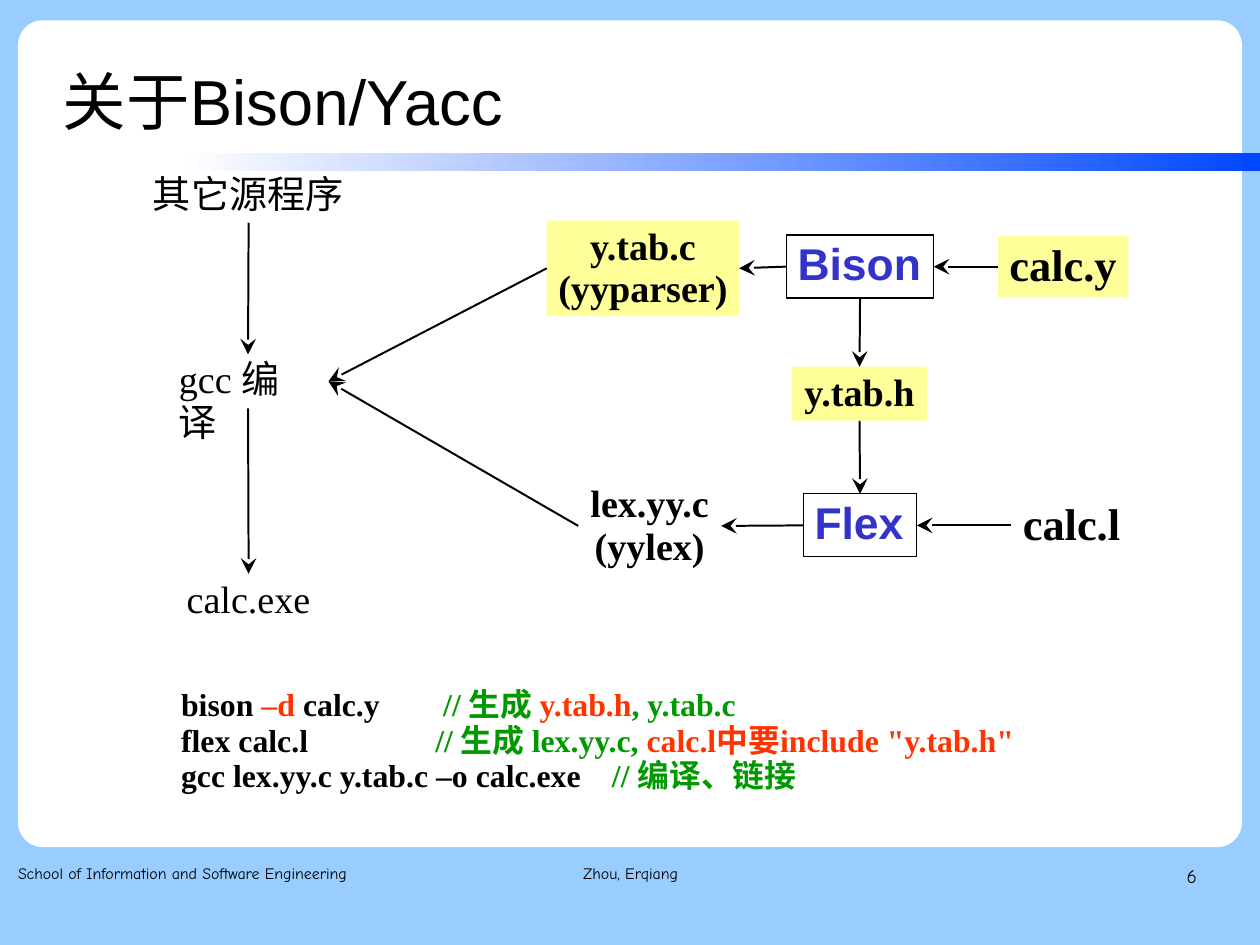
"""Build the slide on how Bison and Flex sources become a program."""
from dataclasses import dataclass

from lxml.etree import SubElement
from pptx import Presentation
from pptx.dml.color import RGBColor
from pptx.enum.shapes import MSO_CONNECTOR, MSO_SHAPE
from pptx.enum.text import MSO_ANCHOR, MSO_AUTO_SIZE, PP_ALIGN
from pptx.oxml.ns import qn
from pptx.shapes.autoshape import Shape
from pptx.slide import Slide
from pptx.util import Emu, Pt

EMU_PER_PX = 9000
TOP, LEFT, BOTTOM, RIGHT = range(4)


@dataclass(frozen=True)
class Theme:
    """Colours, fonts and point sizes of the slide."""
    background: str = "99CCFF"
    panel: str = "FFFFFF"
    band_end: str = "0047FF"
    ink: str = "000000"
    tool: str = "3333CC"
    generated: str = "FFFF99"
    alert: str = "FF3300"
    comment: str = "009900"
    sans: str = "Arial"
    serif: str = "Times New Roman"
    hand: str = "Comic Neue"
    title_size: int = 40
    large_size: int = 28
    node_size: int = 24
    command_size: int = 20
    number_size: int = 12
    footer_size: int = 10
    outline: float = 0.75
    arrow: float = 1.25


THEME = Theme()


@dataclass(frozen=True)
class Box:
    """A rectangle in px."""
    left: int
    top: int
    width: int
    height: int

    def emu(self) -> tuple[Emu, ...]:
        """Return the rectangle in EMU."""
        return tuple(px(value) for value in (self.left, self.top, self.width, self.height))


@dataclass(frozen=True)
class Style:
    """How the text of one box looks."""
    size: int
    font: str = THEME.serif
    bold: bool = False
    color: str = THEME.ink
    align: PP_ALIGN = PP_ALIGN.LEFT
    spacing: float = 0.93
    inset: tuple[int, int] = (10, 5)
    wrap: bool = False
    anchor: MSO_ANCHOR = MSO_ANCHOR.TOP


@dataclass(frozen=True)
class Line:
    """A paragraph made of (text, colour) runs, with an optional tab stop in px."""
    runs: tuple[tuple[str, str], ...]
    tab: int = 0


@dataclass(frozen=True)
class Node:
    """A file or tool in the build diagram."""
    box: Box
    text: tuple[str, ...]
    style: Style
    fill: str = ""
    outlined: bool = False


@dataclass(frozen=True)
class Arrow:
    """An arrow between the sides of two nodes."""
    start: str
    start_side: int
    end: str
    end_side: int


PLAIN = Style(THEME.node_size)
WRAPPED = Style(THEME.node_size, wrap=True)
FILE = Style(THEME.node_size, bold=True, align=PP_ALIGN.CENTER)
INPUT = Style(THEME.large_size, bold=True, align=PP_ALIGN.CENTER)
TOOL = Style(THEME.large_size, THEME.sans, True, THEME.tool)
TITLE = Style(THEME.title_size, THEME.sans, spacing=1.1, inset=(0, 0), wrap=True,
              anchor=MSO_ANCHOR.MIDDLE)
COMMAND = Style(THEME.command_size, bold=True, wrap=True)

NODES = {
    "parser": Node(Box(486, 196, 171, 85), ("y.tab.c", "(yyparser)"), FILE, THEME.generated),
    "lexer": Node(Box(514, 425, 127, 85), ("lex.yy.c", "(yylex)"), FILE),
    "sources": Node(Box(126, 150, 190, 48), ("其它源程序",), PLAIN),
    "compiler": Node(Box(149, 315, 143, 48), ("gcc 编译",), WRAPPED),
    "bison": Node(Box(699, 209, 131, 56), ("Bison",), TOOL, outlined=True),
    "flex": Node(Box(714, 439, 101, 56), ("Flex",), TOOL, outlined=True),
    "grammar": Node(Box(887, 210, 116, 54), ("calc.y",), INPUT, THEME.generated),
    "rules": Node(Box(899, 440, 107, 54), ("calc.l",), INPUT),
    "header": Node(Box(704, 326, 120, 48), ("y.tab.h",), FILE, THEME.generated),
    "program": Node(Box(156, 510, 130, 48), ("calc.exe",), PLAIN),
}
ARROWS = (
    Arrow("grammar", LEFT, "bison", RIGHT),
    Arrow("rules", LEFT, "flex", RIGHT),
    Arrow("bison", BOTTOM, "header", TOP),
    Arrow("header", BOTTOM, "flex", TOP),
    Arrow("sources", BOTTOM, "compiler", TOP),
    Arrow("parser", LEFT, "compiler", RIGHT),
    Arrow("lexer", LEFT, "compiler", RIGHT),
    Arrow("bison", LEFT, "parser", RIGHT),
    Arrow("flex", LEFT, "lexer", RIGHT),
    Arrow("compiler", BOTTOM, "program", TOP),
)
COMMANDS = (
    Line((("bison", THEME.ink), (" –d", THEME.alert), (" calc.y\t", THEME.ink),
          ("// 生成 ", THEME.comment), ("y.tab.h", THEME.alert),
          (", y.tab.c", THEME.comment)), 233),
    Line((("flex calc.l\t", THEME.ink), ("// 生成 lex.yy.c, ", THEME.comment),
          ('calc.l中要include "y.tab.h"', THEME.alert)), 226),
    Line((("gcc lex.yy.c y.tab.c –o calc.exe\t", THEME.ink),
          ("// 编译、链接", THEME.comment)), 383),
)
FOOTERS = (
    (Box(383, 765, 355, 58), "Zhou, Erqiang", THEME.footer_size, PP_ALIGN.CENTER),
    (Box(803, 765, 261, 58), "6", THEME.number_size, PP_ALIGN.RIGHT),
    (Box(16, 765, 343, 58), "School of Information and Software Engineering",
     THEME.footer_size, PP_ALIGN.LEFT),
)


def px(value: int) -> Emu:
    """Turn px into EMU."""
    return Emu(value * EMU_PER_PX)


def rgb(color: str) -> RGBColor:
    """Turn a hex string into a colour."""
    return RGBColor.from_string(color)


def plain_lines(texts: tuple[str, ...], style: Style) -> tuple[Line, ...]:
    """Make one single-run line of each text."""
    return tuple(Line(((text, style.color),)) for text in texts)


def write(shape: Shape, lines: tuple[Line, ...], style: Style) -> None:
    """Fill a shape with styled lines."""
    frame = shape.text_frame
    frame.auto_size = MSO_AUTO_SIZE.NONE
    frame.word_wrap = style.wrap
    frame.vertical_anchor = style.anchor
    frame.margin_left = frame.margin_right = px(style.inset[0])
    frame.margin_top = frame.margin_bottom = px(style.inset[1])
    for index, line in enumerate(lines):
        paragraph = frame.add_paragraph() if index else frame.paragraphs[0]
        if line.tab:
            stops = SubElement(paragraph._p.get_or_add_pPr(), qn("a:tabLst"))
            SubElement(stops, qn("a:tab"), pos=str(px(line.tab)), algn="l")
        paragraph.alignment = style.align
        paragraph.line_spacing = style.spacing
        for text, color in line.runs:
            run = paragraph.add_run()
            run.text = text
            run.font.name = style.font
            run.font.size = Pt(style.size)
            run.font.bold = style.bold
            run.font.color.rgb = rgb(color)


def add_text(slide: Slide, box: Box, lines: tuple[Line, ...], style: Style) -> Shape:
    """Add a text box."""
    shape = slide.shapes.add_textbox(*box.emu())
    write(shape, lines, style)
    return shape


def add_node(slide: Slide, node: Node) -> Shape:
    """Add a diagram node."""
    shape = add_text(slide, node.box, plain_lines(node.text, node.style), node.style)
    if node.fill:
        shape.fill.solid()
        shape.fill.fore_color.rgb = rgb(node.fill)
    if node.outlined:
        shape.line.color.rgb = rgb(THEME.ink)
        shape.line.width = Pt(THEME.outline)
    return shape


def add_arrow(slide: Slide, arrow: Arrow, shapes: dict[str, Shape]) -> None:
    """Add an arrow glued to two nodes."""
    connector = slide.shapes.add_connector(MSO_CONNECTOR.STRAIGHT, 0, 0, 0, 0)
    connector.begin_connect(shapes[arrow.start], arrow.start_side)
    connector.end_connect(shapes[arrow.end], arrow.end_side)
    connector.line.color.rgb = rgb(THEME.ink)
    connector.line.width = Pt(THEME.arrow)
    SubElement(connector.line._get_or_add_ln(), qn("a:tailEnd"), type="stealth", w="lg", len="lg")
    SubElement(connector._element.spPr, qn("a:effectLst"))


def add_backdrop(slide: Slide) -> None:
    """Add the background, the white panel and the gradient band."""
    slide.background.fill.solid()
    slide.background.fill.fore_color.rgb = rgb(THEME.background)
    panel = slide.shapes.add_shape(MSO_SHAPE.ROUNDED_RECTANGLE, *Box(16, 18, 1088, 735).emu())
    panel.adjustments[0] = 0.03
    panel.fill.solid()
    panel.fill.fore_color.rgb = rgb(THEME.panel)
    band = slide.shapes.add_shape(MSO_SHAPE.RECTANGLE, *Box(160, 136, 960, 16).emu())
    band.fill.gradient()
    band.fill.gradient_angle = 0
    for stop, color in zip(band.fill.gradient_stops, (THEME.panel, THEME.band_end)):
        stop.color.rgb = rgb(color)
    for shape in (panel, band):
        shape.line.fill.background()
        shape.shadow.inherit = False


def main() -> None:
    """Build and save the presentation."""
    presentation = Presentation()
    presentation.slide_width, presentation.slide_height = px(1120), px(840)
    slide = presentation.slides.add_slide(presentation.slide_layouts[5])
    add_backdrop(slide)
    title = slide.shapes.title
    title.left, title.top, title.width, title.height = Box(56, 34, 872, 103).emu()
    slide.shapes._spTree.append(title._element)
    write(title, plain_lines(("关于Bison/Yacc",), TITLE), TITLE)
    for box, text, size, align in FOOTERS:
        style = Style(size, THEME.hand, align=align, spacing=1.16, inset=(0, 0), wrap=True)
        add_text(slide, box, plain_lines((text,), style), style)
    shapes = {name: add_node(slide, node) for name, node in NODES.items()}
    for arrow in ARROWS:
        add_arrow(slide, arrow, shapes)
    add_text(slide, Box(151, 607, 958, 106), COMMANDS, COMMAND)
    presentation.save("out.pptx")


if __name__ == "__main__":
    main()
